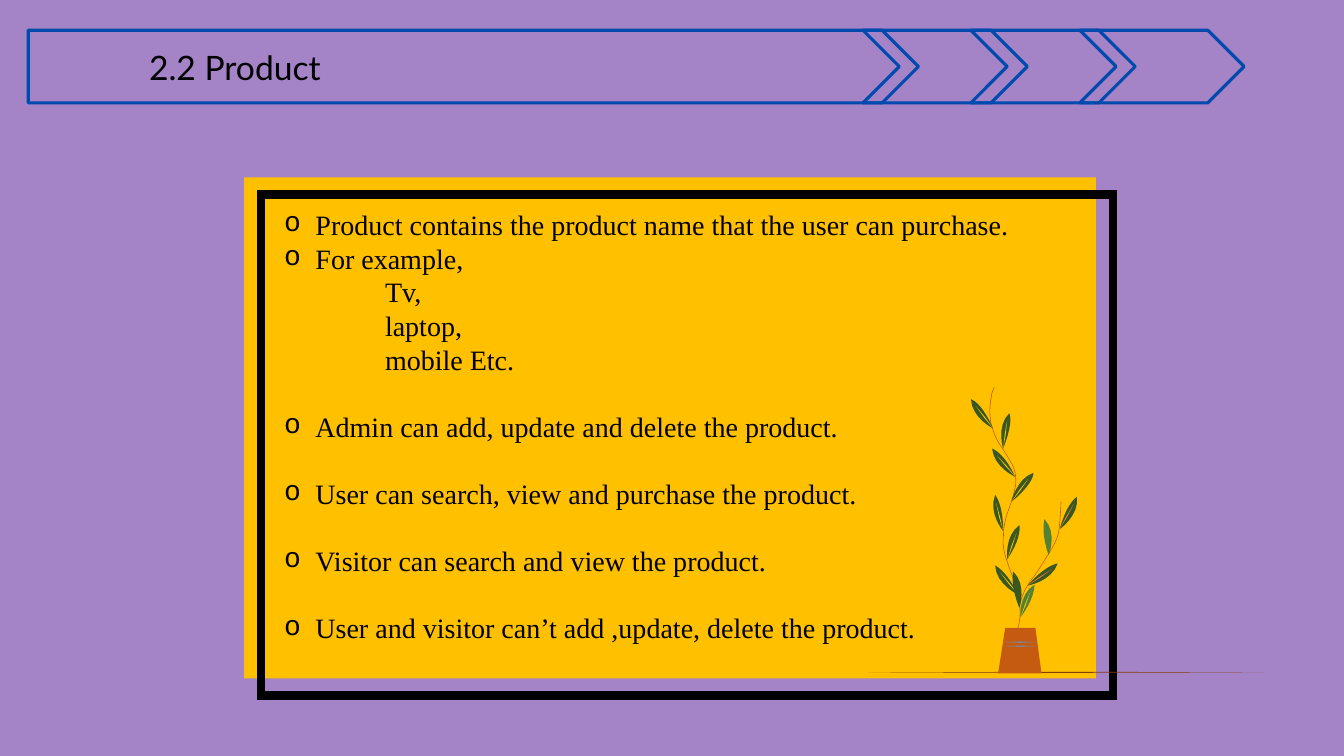
import math

import pptx
import pptx.dml.color
import pptx.enum.shapes
import pptx.enum.text
import pptx.oxml
import pptx.oxml.ns
import pptx.util

PX = 9144  # 100 px to the inch
SHAPE = pptx.enum.shapes.MSO_SHAPE
COLORS = {
    "background": "A483C7", "panel": "FFC000", "banner": "004AAD",
    "text": "000000", "ground": "843C0B", "clay": "C55A11",
    "leaf": "385723", "light leaf": "548235",
    "vein": "FFC000", "orange vein": "ED7D31", "stripe": "5B9BD5",
}
# Text, kind of line, space before in points
PRODUCT_LINES = [
    ("Product contains the product name that the user can purchase.", "bullet", 0),
    ("For example,", "bullet", 0),
    ("Tv,", "example", 0),
    ("laptop,", "example", 0),
    ("mobile Etc.", "example", 0),
    ("Admin can add, update and delete the product.", "bullet", 24),
    ("User can search, view and purchase the product.", "bullet", 24),
    ("Visitor can search and view the product.", "bullet", 24),
    ("User and visitor can’t add ,update, delete the product.", "bullet", 24),
]
# Each chain is a start point followed by three points per Bézier curve
TALL_STEM = [
    (986, 384), (984, 388), (983, 391), (983, 394), (981, 403), (981, 413), (983, 422),
    (985, 428), (987, 434), (990, 439), (994, 445), (998, 451), (1002, 458),
    (1006, 464), (1008, 473), (1007, 481), (1006, 489), (1003, 497), (1000, 506),
    (997, 514), (995, 522), (995, 531), (994, 539), (995, 547), (998, 555),
    (1000, 562), (1003, 569), (1005, 575), (1007, 581), (1008, 587), (1010, 594),
    (1012, 603), (1012, 612), (1010, 621), (1009, 623), (1008, 626), (1007, 630),
]
SHORT_STEM = [
    (1052, 498), (1052, 503), (1051, 517), (1050, 526), (1049, 534), (1044, 543), (1038, 552),
    (1034, 559), (1030, 565), (1026, 571), (1022, 575), (1019, 581), (1016, 586),
    (1014, 590), (1012, 596), (1011, 602),
]
# Leaf colour, vein colour, vein start, tip, two controls, base, two controls
TALL_LEAVES = [
    ("leaf", "vein", (999, 417), (1001, 410), (988, 423), (995, 445), (995, 445), (1003, 425), (1003, 414)),
    ("leaf", "vein", (1020, 475), (1025, 469), (1008, 475), (1003, 498), (1003, 498), (1020, 484), (1025, 474)),
    ("leaf", "vein", (1008, 529), (1011, 521), (996, 532), (999, 555), (999, 555), (1011, 537), (1012, 526)),
    ("light leaf", "vein", (1022, 587), (1026, 580), (1010, 590), (1012, 613), (1012, 613), (1025, 595), (1026, 584)),
    ("leaf", "vein", (968, 403), (963, 396), (964, 415), (985, 425), (985, 425), (976, 405), (968, 398)),
    ("leaf", "vein", (989, 452), (984, 445), (986, 464), (1007, 473), (1007, 473), (998, 454), (989, 447)),
    ("leaf", "vein", (988, 499), (987, 491), (980, 509), (995, 527), (995, 527), (995, 505), (990, 495)),
    ("leaf", "vein", (992, 568), (987, 561), (988, 580), (1010, 590), (1010, 590), (1000, 570), (991, 563)),
]
SHORT_LEAVES = [
    ("light leaf", None, None, (1036, 515), (1035, 519), (1033, 530), (1040, 551), (1040, 551), (1049, 529)),
    ("leaf", None, None, (1005, 567), (1004, 571), (1003, 583), (1011, 603), (1011, 603), (1019, 581)),
    ("leaf", "orange vein", (1065, 500), (1068, 493), (1065, 495), (1057, 503), (1051, 525), (1051, 525), (1071, 511)),
    ("leaf", "orange vein", (1043, 565), (1049, 559), (1044, 560), (1034, 564), (1019, 581), (1019, 581), (1043, 577)),
]


def rgb(name):
    return pptx.dml.color.RGBColor.from_string(COLORS[name])


def make_element(tag, attribute, value):
    namespace = pptx.oxml.ns.nsdecls("a")
    return pptx.oxml.parse_xml(f'<a:{tag} {namespace} {attribute}="{value}"/>')


def style_shape(shape, fill=None, line=None, width=0):
    shape.shadow.inherit = False
    if fill:
        shape.fill.solid()
        shape.fill.fore_color.rgb = rgb(fill)
    else:
        shape.fill.background()
    if line:
        shape.line.color.rgb = rgb(line)
        shape.line.width = pptx.util.Pt(width)
    else:
        shape.line.fill.background()


def add_preset(shapes, kind, box, **style):
    shape = shapes.add_shape(kind, *(value * PX for value in box))
    style_shape(shape, **style)
    return shape


def add_outline(shapes, points, fill):
    corners = [(round(x * PX), round(y * PX)) for x, y in points]
    builder = shapes.build_freeform(*corners[0], scale=1)
    builder.add_line_segments(corners[1:], close=True)
    style_shape(builder.convert_to_shape(), fill=fill)


def trace_curves(chain, steps=8):
    """Return points along a chain of cubic Bézier curves."""
    points = [chain[0]]
    for start in range(0, len(chain) - 1, 3):
        controls = chain[start:start + 4]
        for step in range(1, steps + 1):
            t = step / steps
            weights = ((1 - t) ** 3, 3 * t * (1 - t) ** 2, 3 * t * t * (1 - t), t ** 3)
            points.append(tuple(
                sum(weight * control[axis] for weight, control in zip(weights, controls))
                for axis in (0, 1)))
    return points


def add_stem(shapes, chain):
    edge = trace_curves(chain)
    other_edge = [(x + 0.6, y) for x, y in reversed(edge)]
    add_outline(shapes, edge + other_edge, "clay")


def add_sliver(shapes, start, end, fill):
    """Draw a thin diamond that tapers towards both ends."""
    run, rise = end[0] - start[0], end[1] - start[1]
    length = math.hypot(run, rise)
    x, y = (start[0] + end[0]) / 2, (start[1] + end[1]) / 2
    across, down = -rise / length * 0.5, run / length * 0.5
    add_outline(shapes, [start, (x + across, y + down), end, (x - across, y - down)], fill)


def add_leaf(shapes, fill, vein, vein_start, *chain):
    add_outline(shapes, trace_curves(list(chain) + [chain[0]]), fill)
    if vein:
        add_sliver(shapes, vein_start, chain[3], vein)


def add_plant(slide):
    shapes = slide.shapes.add_group_shape().shapes
    for stem, leaves in ((TALL_STEM, TALL_LEAVES), (SHORT_STEM, SHORT_LEAVES)):
        add_stem(shapes, stem)
        for leaf in leaves:
            add_leaf(shapes, *leaf)
    add_outline(shapes, [(997, 623), (990, 668), (1033, 668), (1027, 623)], "clay")
    for y in (637, 641):
        add_sliver(shapes, (995, y), (1029, y), "stripe")


def add_banner(slide):
    shapes = slide.shapes.add_group_shape().shapes
    add_preset(shapes, SHAPE.PENTAGON, (28, 30, 883, 72), line="banner", width=2.25)
    for index in range(3):
        left = 856 + index * 215 // 2
        add_preset(shapes, SHAPE.CHEVRON, (left, 30, 163, 72), line="banner", width=2.25)


def add_frame(slide):
    """Draw the black frame with sharp corners."""
    frame = add_preset(slide.shapes, SHAPE.RECTANGLE, (259, 193, 845, 497), line="text", width=6)
    frame.line._get_or_add_ln().append(make_element("miter", "lim", "800000"))


def add_text_frame(slide, box):
    frame = slide.shapes.add_textbox(*(value * PX for value in box)).text_frame
    frame.word_wrap = True
    frame.auto_size = pptx.enum.text.MSO_AUTO_SIZE.SHAPE_TO_FIT_TEXT
    return frame


def add_run(paragraph, text, font, size):
    run = paragraph.add_run()
    run.text = text
    run.font.name = font
    run.font.size = pptx.util.Pt(size)
    run.font.color.rgb = rgb("text")


def set_indent(paragraph, left, first=0):
    properties = paragraph._p.get_or_add_pPr()
    properties.set("marL", str(left * PX))
    properties.set("indent", str(first * PX))
    return properties


def set_bullet(paragraph):
    properties = set_indent(paragraph, 31, -31)
    properties.append(make_element("buFont", "typeface", "Courier New"))
    properties.append(make_element("buChar", "char", "o"))


def add_title(slide):
    paragraph = add_text_frame(slide, (38, 42, 784, 50)).paragraphs[0]
    set_indent(paragraph, 100)
    add_run(paragraph, "2.2 Product", "Lato", 24)


def add_product_lines(slide):
    frame = add_text_frame(slide, (272, 201, 815, 448))
    for index, (text, kind, gap) in enumerate(PRODUCT_LINES):
        paragraph = frame.add_paragraph() if index else frame.paragraphs[0]
        if kind == "bullet":
            set_bullet(paragraph)
        else:
            set_indent(paragraph, 100)
        paragraph.alignment = pptx.enum.text.PP_ALIGN.JUSTIFY
        paragraph.line_spacing = pptx.util.Pt(24)
        if gap:
            paragraph.space_before = pptx.util.Pt(gap)
        add_run(paragraph, text, "Times New Roman", 20)


def main():
    presentation = pptx.Presentation()
    presentation.slide_width, presentation.slide_height = 1333 * PX, 750 * PX
    slide = presentation.slides.add_slide(presentation.slide_layouts[6])
    slide.background.fill.solid()
    slide.background.fill.fore_color.rgb = rgb("background")
    add_preset(slide.shapes, SHAPE.RECTANGLE, (242, 176, 845, 497), fill="panel")
    add_title(slide)
    add_banner(slide)
    add_product_lines(slide)
    add_frame(slide)
    add_sliver(slide.shapes, (861, 667), (1254, 667), "ground")
    add_plant(slide)
    presentation.save("out.pptx")


if __name__ == "__main__":
    main()
